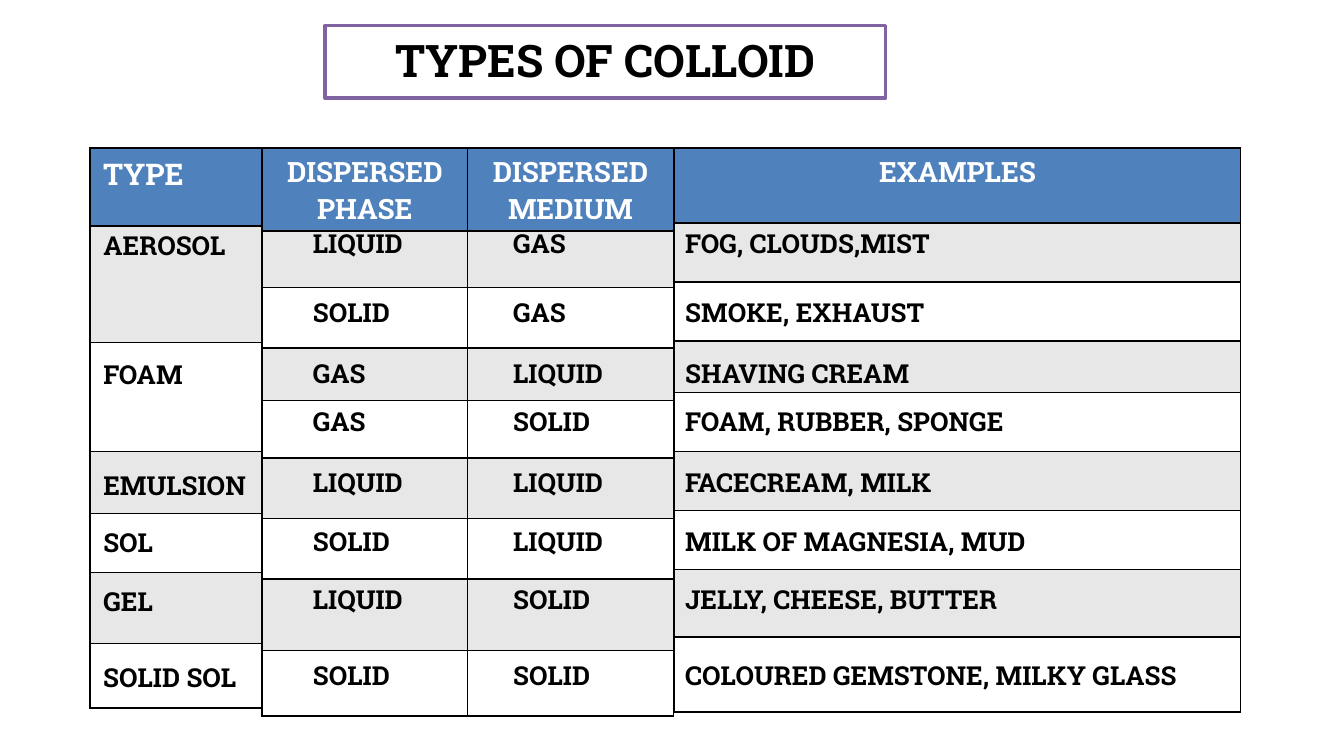
from lxml import etree
from pptx import Presentation
from pptx.dml.color import RGBColor
from pptx.enum.shapes import MSO_SHAPE as SHAPE
from pptx.enum.text import MSO_ANCHOR as ANCHOR, MSO_AUTO_SIZE as AUTO, PP_ALIGN as ALIGN
from pptx.oxml.ns import qn
from pptx.util import Inches, Pt

FONT = "Roboto Slab"
COLORS = {"black": "000000", "white": "FFFFFF", "header": "4F81BD",
          "band": "E7E7E7", "frame": "8064A2"}

# Label widths at 14 pt
WIDTHS = {
    "AEROSOL": 1.21, "FOAM": 0.82, "EMULSION": 1.31, "SOL": 0.62, "GEL": 0.62,
    "SOLID SOL": 1.33, "LIQUID": 0.94, "SOLID": 0.85, "GAS": 0.63,
    "FOG, CLOUDS,MIST": 2.23, "SMOKE, EXHAUST": 2.12, "SHAVING CREAM": 1.99,
    "FOAM, RUBBER, SPONGE": 2.82, "FACECREAM, MILK": 2.21,
    "MILK OF MAGNESIA, MUD": 2.91, "JELLY, CHEESE, BUTTER": 2.84,
    "COLOURED GEMSTONE, MILKY GLASS": 4.2,
}
TYPES = [("AEROSOL", 1.66), ("FOAM", 2.62), ("EMULSION", 3.44),
         ("SOL", 3.87), ("GEL", 4.31), ("SOLID SOL", 4.87)]
COLLOIDS = [  # top, phase, medium, examples
    (1.64, "LIQUID", "GAS", "FOG, CLOUDS,MIST"),
    (2.16, "SOLID", "GAS", "SMOKE, EXHAUST"),
    (2.61, "GAS", "LIQUID", "SHAVING CREAM"),
    (2.97, "GAS", "SOLID", "FOAM, RUBBER, SPONGE"),
    (3.42, "LIQUID", "LIQUID", "FACECREAM, MILK"),
    (3.86, "SOLID", "LIQUID", "MILK OF MAGNESIA, MUD"),
    (4.29, "LIQUID", "SOLID", "JELLY, CHEESE, BUTTER"),
    (4.86, "SOLID", "SOLID", "COLOURED GEMSTONE, MILKY GLASS"),
]


def rgb(name):
    return RGBColor.from_string(COLORS[name])


def add_run(p, text, size, color="black"):
    r = p.add_run()
    r.text = text
    r.font.name = FONT
    r.font.size = Pt(size)
    r.font.bold = True
    r.font.color.rgb = rgb(color)


def set_borders(cell):
    tc_pr = cell._tc.get_or_add_tcPr()
    for i, side in enumerate(("lnL", "lnR", "lnT", "lnB")):
        ln = etree.Element(qn(f"a:{side}"), w=str(Pt(1)))
        fill = etree.SubElement(ln, qn("a:solidFill"))
        etree.SubElement(fill, qn("a:srgbClr"), val=COLORS["black"])
        tc_pr.insert(i, ln)


def add_grid(slide, left, top, cols, rows, headings=()):
    """Banded grid with a coloured heading row."""
    frame = slide.shapes.add_table(len(rows), len(cols), Inches(left), Inches(top),
                                   Inches(sum(cols)), Inches(sum(rows)))
    table = frame.table
    table.first_row = table.horz_banding = False
    for col, width in zip(table.columns, cols):
        col.width = Inches(width)
    for i, (row, height) in enumerate(zip(table.rows, rows)):
        row.height = Inches(height)
        for cell in row.cells:
            cell.margin_top = cell.margin_bottom = Inches(0 if i else 0.04)
            cell.fill.solid()
            cell.fill.fore_color.rgb = rgb("header" if i == 0 else
                                           "band" if i % 2 else "white")
            set_borders(cell)
    for cell, heading in zip(table.rows[0].cells, headings):
        p = cell.text_frame.paragraphs[0]
        p.alignment = ALIGN.CENTER
        add_run(p, heading, 15, "white")


def add_label(slide, text, left, top, width, height=0.34, size=14, color="black"):
    sp = slide.shapes.add_textbox(Inches(left), Inches(top), Inches(width), Inches(height))
    tf = sp.text_frame
    tf.word_wrap = False
    tf.auto_size = AUTO.SHAPE_TO_FIT_TEXT
    add_run(tf.paragraphs[0], text, size, color)


def add_type_column(slide, left, top):
    add_grid(slide, left, top, [1.29], [0.58, 0.87, 0.81, 0.46, 0.44, 0.53, 0.48])
    add_label(slide, "TYPE", left, top + 0.01, 0.83, 0.37, 16, "white")
    for text, y in TYPES:
        add_label(slide, text, left, y, WIDTHS[text])


def add_phase_columns(slide, left, top):
    add_grid(slide, left, top, [1.53, 1.53],
             [0.62, 0.42, 0.45, 0.39, 0.43, 0.45, 0.45, 0.53, 0.49],
             ["DISPERSED PHASE", "DISPERSED MEDIUM"])
    for y, phase, medium, _ in COLLOIDS:
        add_label(slide, phase, left + 0.28, y, WIDTHS[phase])
        add_label(slide, medium, left + 1.77, y, WIDTHS[medium])


def add_examples_column(slide, left, top):
    add_grid(slide, left, top, [4.21],
             [0.56, 0.44, 0.44, 0.38, 0.44, 0.44, 0.44, 0.5, 0.56], ["EXAMPLES"])
    for y, _, _, examples in COLLOIDS:
        add_label(slide, examples, left - 0.02, y, WIDTHS[examples])


def add_title(slide, left, top, width, height):
    sp = slide.shapes.add_shape(SHAPE.RECTANGLE, Inches(left), Inches(top),
                                Inches(width), Inches(height))
    sp.shadow.inherit = False
    sp.fill.solid()
    sp.fill.fore_color.rgb = rgb("white")
    sp.line.color.rgb = rgb("frame")
    sp.line.width = Pt(2)
    tf = sp.text_frame
    tf.word_wrap = True
    tf.vertical_anchor = ANCHOR.MIDDLE
    tf.margin_bottom = Inches(0.08)
    p = tf.paragraphs[0]
    p.alignment = ALIGN.CENTER
    add_run(p, "TYPES OF COLLOID", 24)


def main():
    prs = Presentation()
    prs.slide_width = Inches(10)
    prs.slide_height = prs.slide_width * 9 // 16
    slide = prs.slides.add_slide(prs.slide_layouts[6])
    add_type_column(slide, 0.67, 1.1)
    add_phase_columns(slide, 1.95, 1.1)
    add_examples_column(slide, 5.02, 1.1)
    add_title(slide, 2.42, 0.19, 4.17, 0.54)
    prs.save("out.pptx")


if __name__ == "__main__":
    main()
